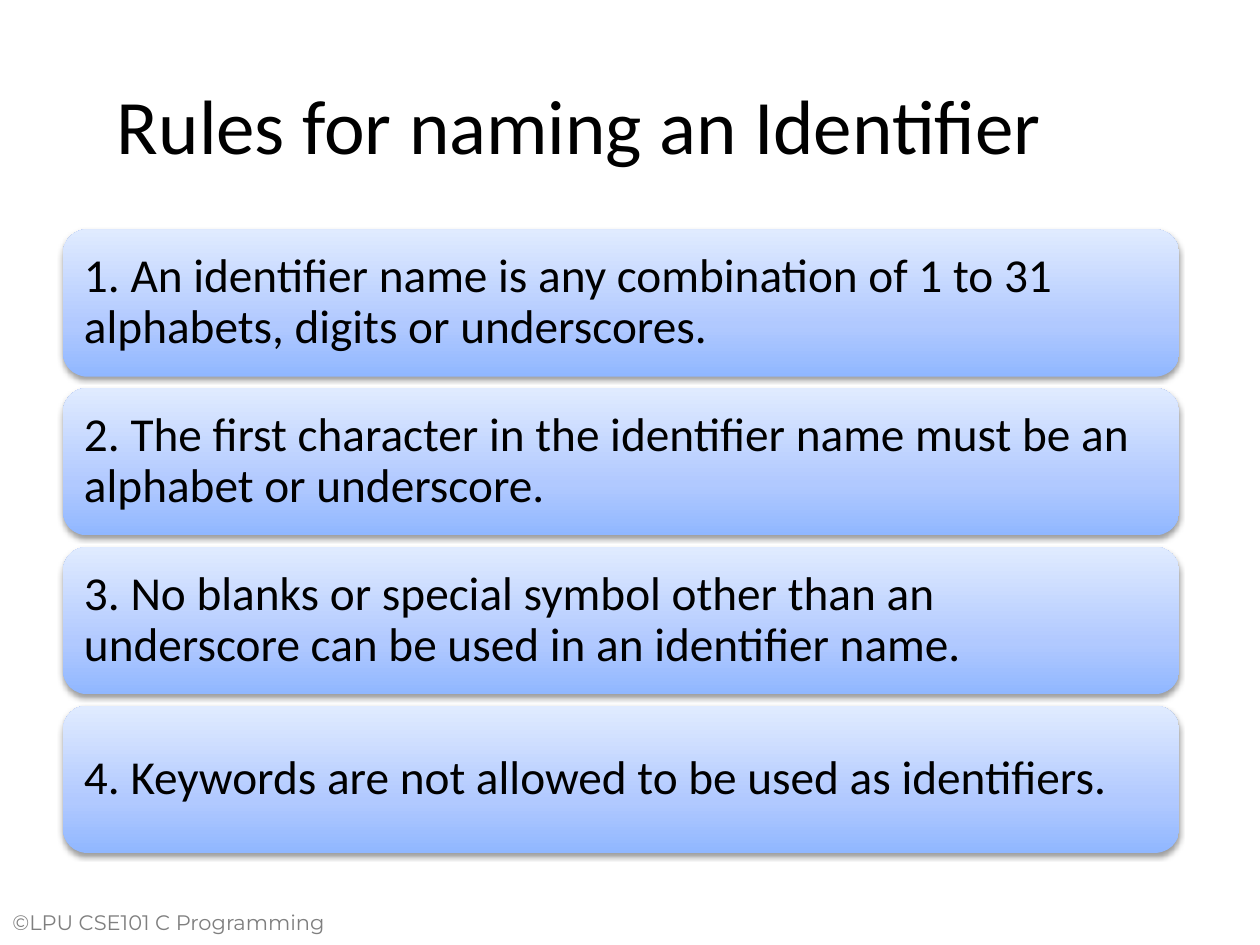
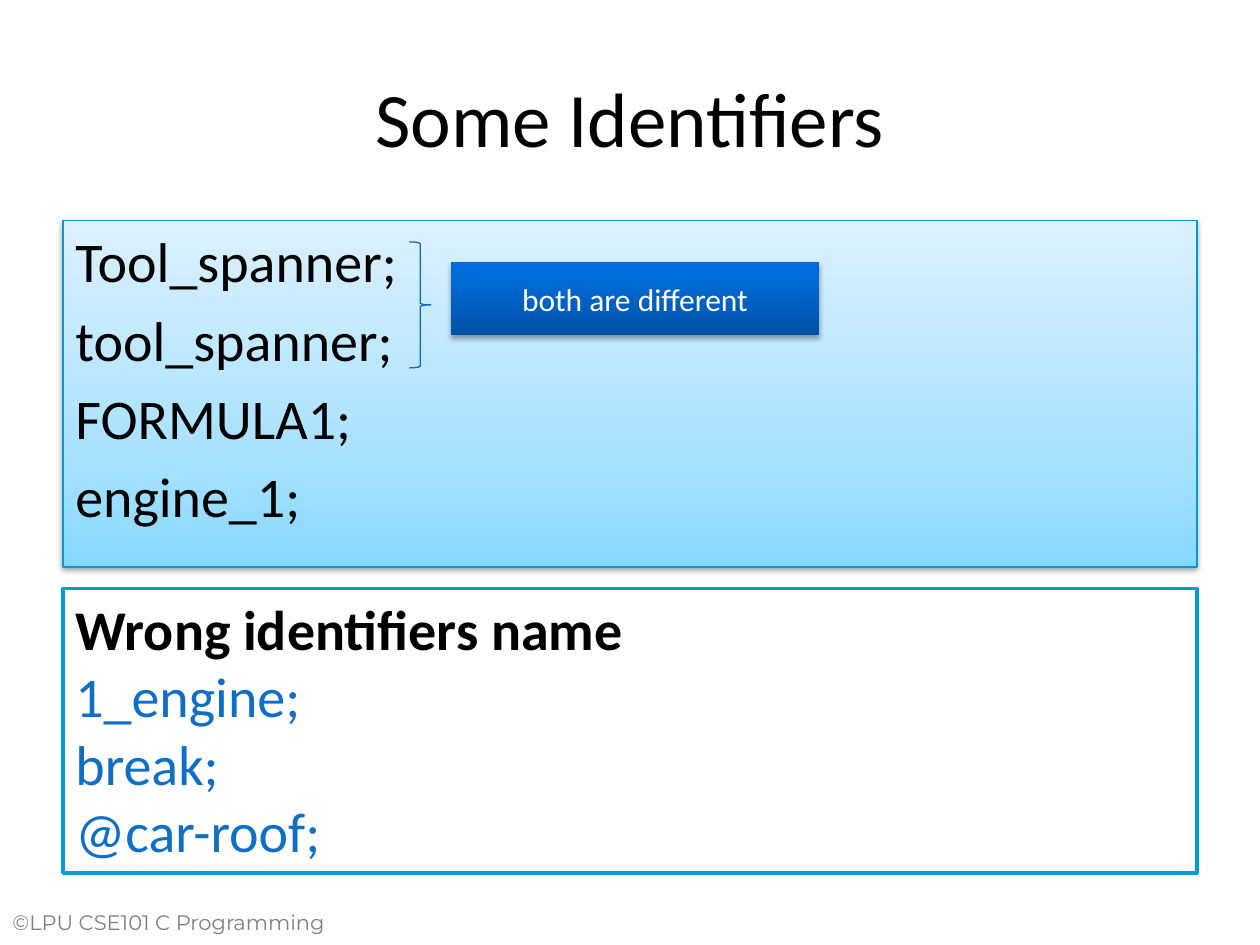
from dataclasses import dataclass
from typing import Optional

import lxml.etree
import pptx
import pptx.dml.color
import pptx.enum.shapes
import pptx.enum.text
import pptx.oxml.ns
import pptx.util

Inches = pptx.util.Inches
Pt = pptx.util.Pt
qn = pptx.oxml.ns.qn
MSO_SHAPE = pptx.enum.shapes.MSO_SHAPE
ANCHOR = pptx.enum.text.MSO_ANCHOR
ALIGN = pptx.enum.text.PP_ALIGN


@dataclass(frozen=True)
class Theme:
    font: str = "Calibri"
    footer_font: str = "Montserrat"
    title_size: float = 44
    list_size: float = 32
    rule_size: float = 27
    callout_size: float = 18
    footer_size: float = 12
    text: str = "000000"
    inverse: str = "FFFFFF"
    footer: str = "7F7F7F"
    wrong: str = "0F6FC6"
    brace: str = "096CC5"
    valid_border: str = "009BD8"
    wrong_border: str = "009DD9"
    # Gradient stops run from bottom to top
    rule_fill: tuple = ((0, "90B7FF"), (35, "B1C9FF"), (100, "E0EBFF"))
    valid_fill: tuple = ((0, "86D8FF"), (35, "ACE2FF"), (100, "DCF1FF"))
    callout_fill: tuple = ((0, "0051A5"), (80, "006CD9"), (100, "006CDF"))


THEME = Theme()


@dataclass(frozen=True)
class Box:
    left: float
    top: float
    width: float
    height: float

    def lengths(self) -> tuple:
        return tuple(Inches(v) for v in (self.left, self.top, self.width, self.height))


@dataclass(frozen=True)
class Line:
    text: str
    size: float
    color: str = THEME.text
    bold: bool = False
    font: str = THEME.font


@dataclass(frozen=True)
class Shadow:
    alpha: int
    distance: float
    blur: float = 3.1


@dataclass(frozen=True)
class Panel:
    box: Box
    geometry: MSO_SHAPE = MSO_SHAPE.RECTANGLE
    gradient: tuple = ()
    solid: Optional[str] = None
    border: Optional[str] = None
    border_width: float = 0.75
    shadow: Optional[Shadow] = None


SOFT_SHADOW = Shadow(alpha=38, distance=1.6)
CALLOUT_SHADOW = Shadow(alpha=35, distance=1.8)


def rgb(color: str) -> pptx.dml.color.RGBColor:
    return pptx.dml.color.RGBColor.from_string(color)


def apply(target, formats: dict) -> None:
    for name, value in formats.items():
        setattr(target, name, value)


def write(frame, lines: list, inset: float = 0.1, inset_y: float = 0.05,
          anchor=ANCHOR.TOP, **paragraph_format) -> None:
    """Fill a text frame with one paragraph per line."""
    apply(frame, dict(word_wrap=True, vertical_anchor=anchor,
                      margin_left=Inches(inset), margin_right=Inches(inset),
                      margin_top=Inches(inset_y), margin_bottom=Inches(inset_y)))
    for index, line in enumerate(lines):
        paragraph = frame.add_paragraph() if index else frame.paragraphs[0]
        paragraph.text = line.text
        apply(paragraph, {"alignment": ALIGN.LEFT, **paragraph_format})
        if not index:
            paragraph.space_before = Pt(0)
        font = paragraph.runs[0].font
        apply(font, dict(name=line.font, size=Pt(line.size), bold=line.bold))
        font.color.rgb = rgb(line.color)


def add_color(parent, color: str):
    return lxml.etree.SubElement(parent, qn("a:srgbClr"), val=color)


def fill_gradient(shape, stops: tuple) -> None:
    shape.fill.gradient()
    shape.fill.gradient_angle = 90
    stop_list = next(shape.element.iter(qn("a:gsLst")))
    for old_stop in list(stop_list):
        stop_list.remove(old_stop)
    for position, color in stops:
        stop = lxml.etree.SubElement(stop_list, qn("a:gs"), pos=str(position * 1000))
        add_color(stop, color)


def cast_shadow(shape, shadow: Shadow) -> None:
    effects = next(shape.element.iter(qn("a:effectLst")))
    outer = lxml.etree.SubElement(
        effects, qn("a:outerShdw"), blurRad=str(Pt(shadow.blur)),
        dist=str(Pt(shadow.distance)), dir="5400000", rotWithShape="0")
    lxml.etree.SubElement(add_color(outer, "000000"), qn("a:alpha"),
                          val=str(shadow.alpha * 1000))


def draw_panel(slide, panel: Panel):
    shape = slide.shapes.add_shape(panel.geometry, *panel.box.lengths())
    shape.shadow.inherit = False
    if panel.gradient:
        fill_gradient(shape, panel.gradient)
    elif panel.solid:
        shape.fill.solid()
        shape.fill.fore_color.rgb = rgb(panel.solid)
    else:
        shape.fill.background()
    if panel.border:
        shape.line.color.rgb = rgb(panel.border)
        shape.line.width = Pt(panel.border_width)
    else:
        shape.line.fill.background()
    if panel.shadow:
        cast_shadow(shape, panel.shadow)
    return shape


def add_titled_slide(deck, layout, text: str, box: Box):
    slide = deck.slides.add_slide(layout)
    title = slide.shapes.title
    apply(title, dict(zip(("left", "top", "width", "height"), box.lengths())))
    write(title.text_frame, [Line(text, THEME.title_size)],
          anchor=ANCHOR.MIDDLE, alignment=ALIGN.CENTER)
    return slide


def move_footer_to_layout(slide, layout) -> None:
    """Place the course footer on the layout that both slides use."""
    footer = slide.shapes.add_textbox(*Box(0, 7.17, 3, 0.42).lengths())
    write(footer.text_frame, [Line("©LPU CSE101 C Programming", THEME.footer_size,
                                   THEME.footer, font=THEME.footer_font)])
    layout.shapes.element.append(footer.element)


def build_rules(deck, layout):
    slide = add_titled_slide(deck, layout, "Rules for naming an Identifier",
                             Box(0.17, 0.42, 8.86, 1.12))
    rules = (
        "1. An identifier name is any combination of 1 to 31 alphabets, digits or underscores.",
        "2. The first character in the identifier name must be an alphabet or underscore.",
        "3. No blanks or special symbol other than an underscore can be used in an identifier name.",
        "4. Keywords are not allowed to be used as identifiers.",
    )
    first_top, pitch = 1.82, 1.26
    for index, rule in enumerate(rules):
        card = draw_panel(slide, Panel(
            Box(0.5, first_top + index * pitch, 8.86, 1.17),
            MSO_SHAPE.ROUNDED_RECTANGLE, THEME.rule_fill, shadow=SOFT_SHADOW))
        write(card.text_frame, [Line(rule, THEME.rule_size)], inset=0.11,
              inset_y=0.11, anchor=ANCHOR.MIDDLE, line_spacing=0.9)
    return slide


def build_examples(deck, layout) -> None:
    slide = add_titled_slide(deck, layout, "Some Identifiers", Box(0.5, 0.3, 9, 1.25))

    # Valid names
    valid = draw_panel(slide, Panel(Box(0.5, 1.75, 9, 2.75), gradient=THEME.valid_fill,
                                    border=THEME.valid_border, shadow=SOFT_SHADOW))
    names = ("Tool_spanner;", "tool_spanner;", "FORMULA1;", "engine_1;")
    write(valid.text_frame, [Line(name, THEME.list_size) for name in names],
          space_before=Pt(6.4))

    # Brace and callout for the two spellings
    draw_panel(slide, Panel(Box(3.25, 1.92, 0.17, 1), MSO_SHAPE.RIGHT_BRACE,
                            border=THEME.brace))
    callout = draw_panel(slide, Panel(Box(3.58, 2.08, 2.92, 0.58),
                                      gradient=THEME.callout_fill, shadow=CALLOUT_SHADOW))
    write(callout.text_frame,
          [Line("both are different", THEME.callout_size, THEME.inverse)],
          anchor=ANCHOR.MIDDLE, alignment=ALIGN.CENTER)

    # Wrong names
    wrong = draw_panel(slide, Panel(Box(0.5, 4.67, 9, 2.26), solid=THEME.inverse,
                                    border=THEME.wrong_border, border_width=2))
    heading = Line("Wrong identifiers name", THEME.list_size, bold=True)
    wrong_names = ("1_engine;", "break;", "@car-roof;")
    write(wrong.text_frame, [heading] + [Line(name, THEME.list_size, THEME.wrong)
                                         for name in wrong_names])


def main() -> None:
    deck = pptx.Presentation()
    deck.slide_width, deck.slide_height = Inches(10), Inches(7.5)
    layout = deck.slide_layouts.get_by_name("Title Only")
    rules_slide = build_rules(deck, layout)
    move_footer_to_layout(rules_slide, layout)
    build_examples(deck, layout)
    deck.save("out.pptx")


if __name__ == "__main__":
    main()
